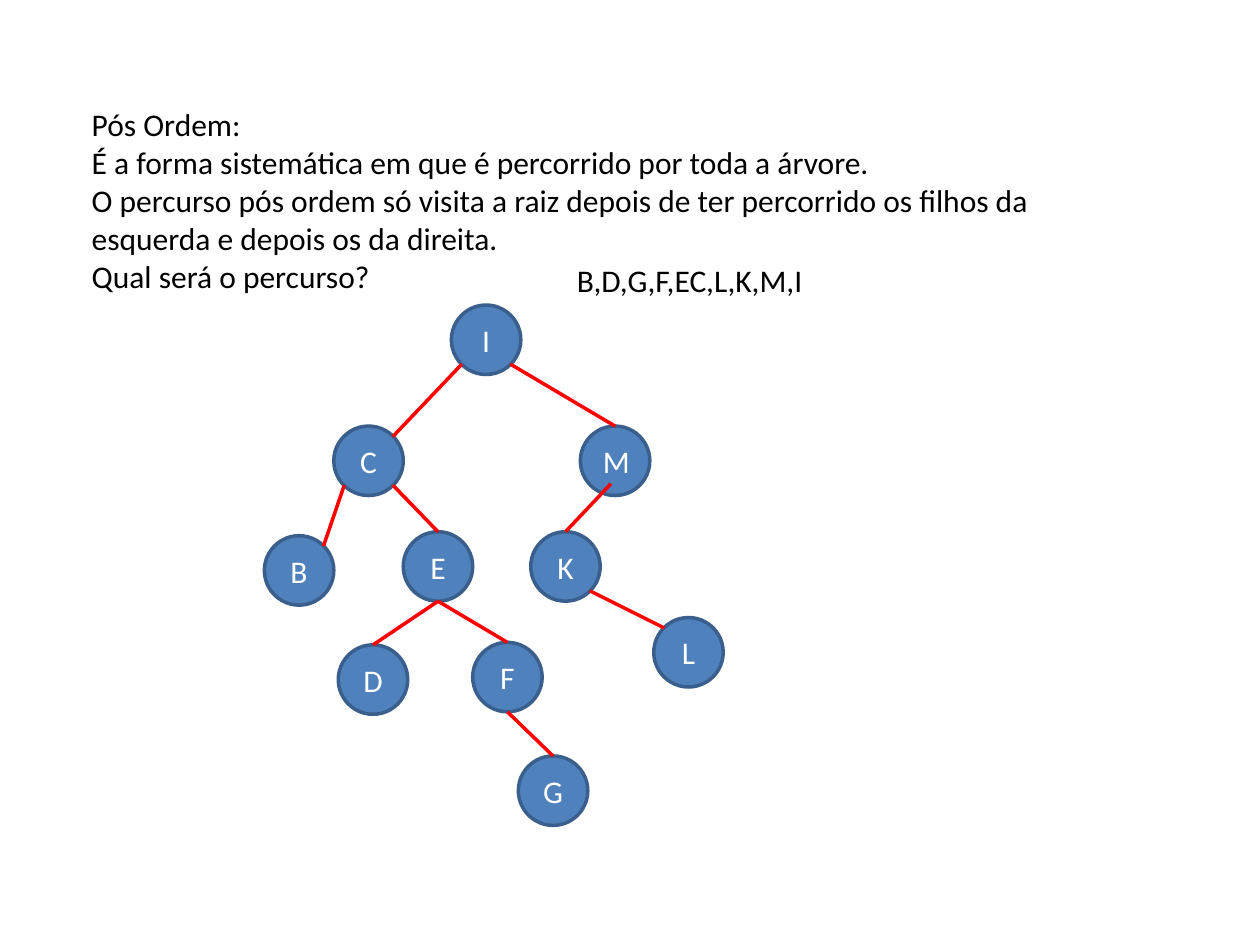
import pptx
import pptx.dml.color
import pptx.enum.shapes
import pptx.enum.text
import pptx.oxml
import pptx.util

Cm = pptx.util.Cm
Pt = pptx.util.Pt
ALIGN = pptx.enum.text.PP_ALIGN
ANCHOR = pptx.enum.text.MSO_ANCHOR
COLORS = {"text": "000000", "node": "4F81BD", "rim": "3A5F8C",
          "label": "FFFFFF", "edge": "FF0000"}


def color(name):
    return pptx.dml.color.RGBColor.from_string(COLORS[name])


def write(shape, text, ink="text", size=18, align=ALIGN.LEFT, anchor=ANCHOR.TOP):
    frame = shape.text_frame
    frame.word_wrap = True
    frame.vertical_anchor = anchor
    frame.text = text
    for para in frame.paragraphs:
        para.alignment = align
        para.font.name = "Calibri"
        para.font.size = Pt(size)
        para.font.color.rgb = color(ink)


deck = pptx.Presentation()
deck.slide_width = Cm(25.4)
deck.slide_height = Cm(19.05)
slide = deck.slides.add_slide(deck.slide_layouts[6])
shapes = slide.shapes

# Explanation
intro = shapes.add_textbox(Cm(1.6), Cm(2), Cm(21), Cm(4.11))
write(intro, "Pós Ordem:\n"
      "É a forma sistemática em que é percorrido por toda a árvore.\n"
      "O percurso pós ordem só visita a raiz depois de ter percorrido "
      "os filhos da esquerda e depois os da direita.\n"
      "Qual será o percurso?")

# Tree nodes: left and top in cm
side = 1.4
nodes = {"I": (9.1, 6.15), "C": (6.73, 8.59), "E": (8.13, 10.72),
         "B": (5.33, 10.8), "D": (6.82, 13), "F": (9.53, 12.95),
         "G": (10.45, 15.24), "M": (11.7, 8.59), "K": (10.7, 10.72),
         "L": (13.18, 12.45)}
for name, (left, top) in nodes.items():
    node = shapes.add_shape(pptx.enum.shapes.MSO_SHAPE.OVAL,
                            Cm(left), Cm(top), Cm(side), Cm(side))
    node.shadow.inherit = False
    node.fill.solid()
    node.fill.fore_color.rgb = color("node")
    node.line.color.rgb = color("rim")
    node.line.width = Pt(2)
    write(node, name, ink="label", align=ALIGN.CENTER, anchor=ANCHOR.MIDDLE)

# Tree edges: parent, its side, child, its side
sides = {"top": (0.5, 0), "foot": (0.5, 1), "nw": (0.15, 0.15),
         "ne": (0.85, 0.15), "sw": (0.15, 0.85), "se": (0.85, 0.85),
         "inner": (0.44, 0.83)}
edges = [("I", "sw", "C", "ne"), ("C", "se", "E", "top"),
         ("I", "se", "M", "top"), ("E", "foot", "D", "top"),
         ("E", "foot", "F", "top"), ("C", "sw", "B", "ne"),
         ("M", "inner", "K", "top"), ("K", "se", "L", "nw"),
         ("F", "foot", "G", "top")]
for start, out, end, into in edges:
    points = [Cm(base + side * part)
              for name, spot in ((start, out), (end, into))
              for base, part in zip(nodes[name], sides[spot])]
    edge = shapes.add_connector(pptx.enum.shapes.MSO_CONNECTOR.STRAIGHT, *points)
    edge.line.color.rgb = color("edge")
    edge.line.width = Pt(2)
    props = edge.element.spPr
    props.append(pptx.oxml.parse_xml(
        '<a:effectLst xmlns:a='
        '"http://schemas.openxmlformats.org/drawingml/2006/main"/>'))

# Answer
answer = shapes.add_textbox(Cm(11.38), Cm(5.13), Cm(8), Cm(1.02))
write(answer, "B,D,G,F,EC,L,K,M,I")

deck.save("out.pptx")
